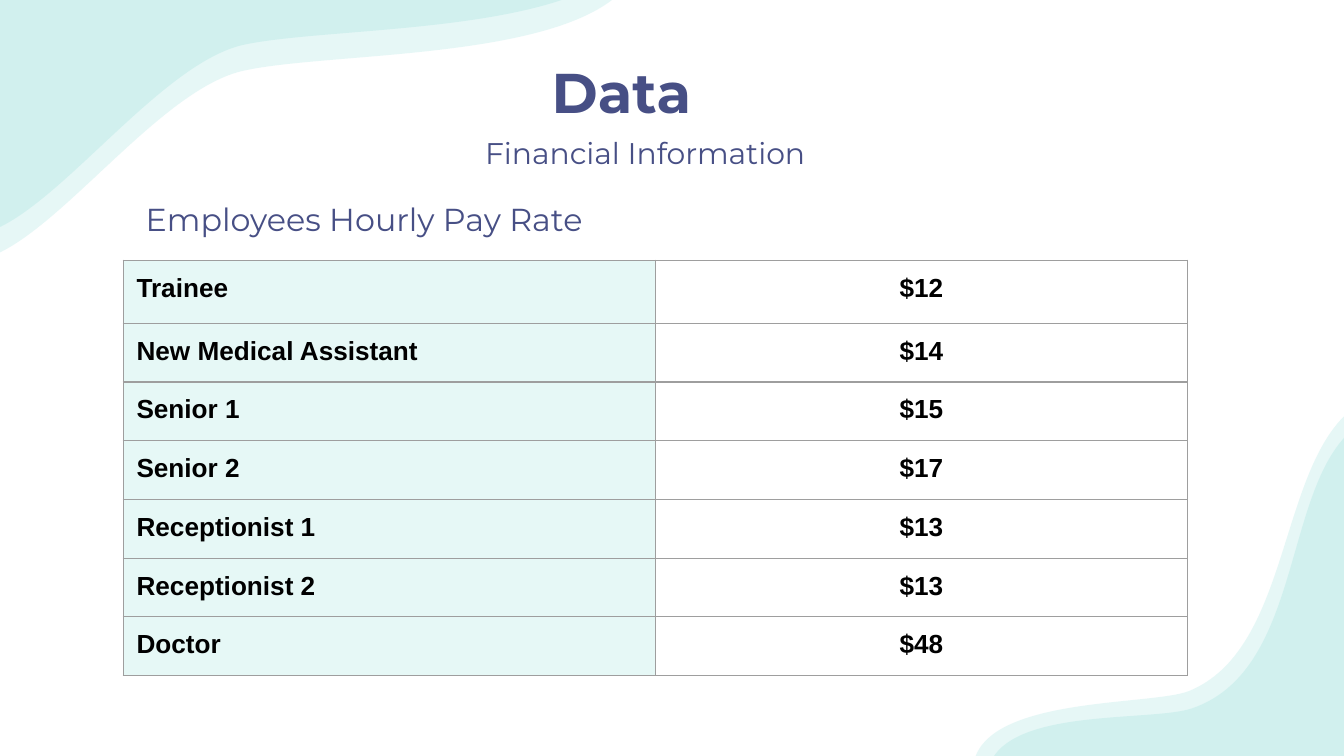
from lxml.etree import SubElement
from pptx import Presentation
from pptx.dml.color import RGBColor
from pptx.enum.text import MSO_ANCHOR, MSO_AUTO_SIZE, PP_ALIGN
from pptx.oxml.ns import qn
from pptx.util import Cm, Pt

NAVY, TEAL, MINT, GREY, BLACK = "474F85", "5BCEC7", "E6F8F6", "9E9E9E", "000000"

TITLE = "Data"
# text, left, top, width, height, size, line spacing, space after
CAPTIONS = [
    ("Financial Information", 8.03, 2.2, 8.33, 1.19, 16, 1.15, 16),
    ("Employees Hourly Pay Rate", 1.46, 3.53, 10.85, 1.24, 17, 1, 0),
]
PAY_RATES = [
    ("Trainee", "$12"),
    ("New Medical Assistant", "$14"),
    ("Senior 1", "$15"),
    ("Senior 2", "$17"),
    ("Receptionist 1", "$13"),
    ("Receptionist 2", "$13"),
    ("Doctor", "$48"),
]
# Each wave, in hundredths of a centimetre, is a start point,
# cubic curves (two controls and an end), then corners.
WAVES = [
    ((759, -69),
     [((945, -69), (1105, -64), (1166, -48)),
      ((1186, -41), (1194, -36), (1186, -28)),
      ((1069, 117), (612, 97), (455, 135)),
      ((284, 178), (76, 493), (-58, 493)),
      ((-66, 493), (-74, 493), (-79, 490)),
      ((-94, 488), (-104, 462), (-109, 424))],
     [(-109, 384), (-109, 0), (-107, -46)]),
    ((1186, -86),
     [((1189, -84), (1191, -79), (1186, -76)),
      ((1181, -69), (1173, -61), (1166, -53)),
      ((1019, 66), (605, 51), (455, 86)),
      ((284, 130), (76, 445), (-58, 445)),
      ((-66, 445), (-74, 445), (-79, 442)),
      ((-94, 437), (-104, 414), (-109, 376))],
     [(-109, -8), (-109, -48), (-107, -86)]),
    ((1842, 1435),
     [((1877, 1316), (2179, 1334), (2248, 1306)),
      ((2433, 1229), (2416, 912), (2540, 787))],
     [(2540, 828), (2540, 1435)]),
    ((1875, 1435),
     [((1928, 1339), (2179, 1364), (2253, 1339)),
      ((2454, 1270), (2426, 955), (2540, 828))],
     [(2540, 1435)]),
]


def paint(fill, color):
    fill.solid()
    fill.fore_color.rgb = RGBColor.from_string(color)


def place(shape, left, top, width, height):
    shape.left, shape.top = Cm(left), Cm(top)
    shape.width, shape.height = Cm(width), Cm(height)


def set_text(frame, text, size, font, color, bold=False, align=PP_ALIGN.CENTER):
    frame.text = text
    para = frame.paragraphs[0]
    para.alignment = align
    span = para.runs[0].font
    span.size, span.name, span.bold = Pt(size), font, bold
    span.color.rgb = RGBColor.from_string(color)
    return para


def set_margins(target, margin):
    target.margin_left = target.margin_right = Cm(margin)
    target.margin_top = target.margin_bottom = Cm(margin)


def bend_lines(shape, count):
    """Turn each of the first count triples of line segments into a cubic curve."""
    lines = list(shape.element.iter(qn("a:lnTo")))[:3 * count]
    for index in range(0, len(lines), 3):
        curve = lines[index]
        curve.tag = qn("a:cubicBezTo")
        for line in lines[index + 1:index + 3]:
            curve.append(line[0])
            line.getparent().remove(line)


def add_wave(page, start, curves, corners):
    builder = page.shapes.build_freeform(*start, scale=Cm(0.01))
    points = [point for curve in curves for point in curve]
    builder.add_line_segments(points + corners, close=True)
    wave = builder.convert_to_shape()
    bend_lines(wave, len(curves))
    wave.shadow.inherit = False
    wave.line.fill.background()
    paint(wave.fill, TEAL)
    color = wave.element.spPr.find(qn("a:solidFill"))[0]
    SubElement(color, qn("a:alpha"), val="15000")
    page.shapes.title.element.addprevious(wave.element)


def add_borders(cell):
    properties = cell._tc.get_or_add_tcPr()
    for side in ("lnL", "lnR", "lnT", "lnB"):
        line = SubElement(properties, qn(f"a:{side}"), w=str(Pt(0.75)))
        solid = SubElement(line, qn("a:solidFill"))
        SubElement(solid, qn("a:srgbClr"), val=GREY)


def add_pay_table(page):
    frame = page.shapes.add_table(len(PAY_RATES), 2, Cm(2.33), Cm(4.92),
                                  Cm(20.11), Cm(7.85))
    table = frame.table
    table.first_row = table.horz_banding = False
    for row_index, rates in enumerate(PAY_RATES):
        table.rows[row_index].height = Cm(1.11 if row_index else 1.19)
        for column, text in enumerate(rates):
            cell = table.cell(row_index, column)
            set_margins(cell, 0.25)
            align = PP_ALIGN.CENTER if column else PP_ALIGN.LEFT
            set_text(cell.text_frame, text, 14, "Arial", BLACK, True, align)
            add_borders(cell)
            if column:
                cell.fill.background()
            else:
                paint(cell.fill, MINT)


def add_caption(page, text, left, top, width, height, size, spacing, after):
    box = page.shapes.add_textbox(Cm(left), Cm(top), Cm(width), Cm(height))
    frame = box.text_frame
    frame.word_wrap = True
    frame.auto_size = MSO_AUTO_SIZE.SHAPE_TO_FIT_TEXT
    set_margins(frame, 0.25)
    para = set_text(frame, text, size, "Montserrat", NAVY)
    para.line_spacing, para.space_after = spacing, Pt(after)


def main():
    deck = Presentation()
    deck.slide_width, deck.slide_height = Cm(25.4), Cm(14.29)
    page = deck.slides.add_slide(deck.slide_layouts[5])
    paint(page.background.fill, "FFFFFF")

    for wave in WAVES:
        add_wave(page, *wave)

    title = page.shapes.title
    place(title, 1.04, 1.09, 21.41, 1.6)
    frame = title.text_frame
    set_margins(frame, 0)
    frame.vertical_anchor = MSO_ANCHOR.TOP
    frame.auto_size = MSO_AUTO_SIZE.NONE
    set_text(frame, TITLE, 30, "Montserrat", NAVY, True)

    add_caption(page, *CAPTIONS[0])
    add_pay_table(page)
    add_caption(page, *CAPTIONS[1])
    deck.save("out.pptx")


if __name__ == "__main__":
    main()
